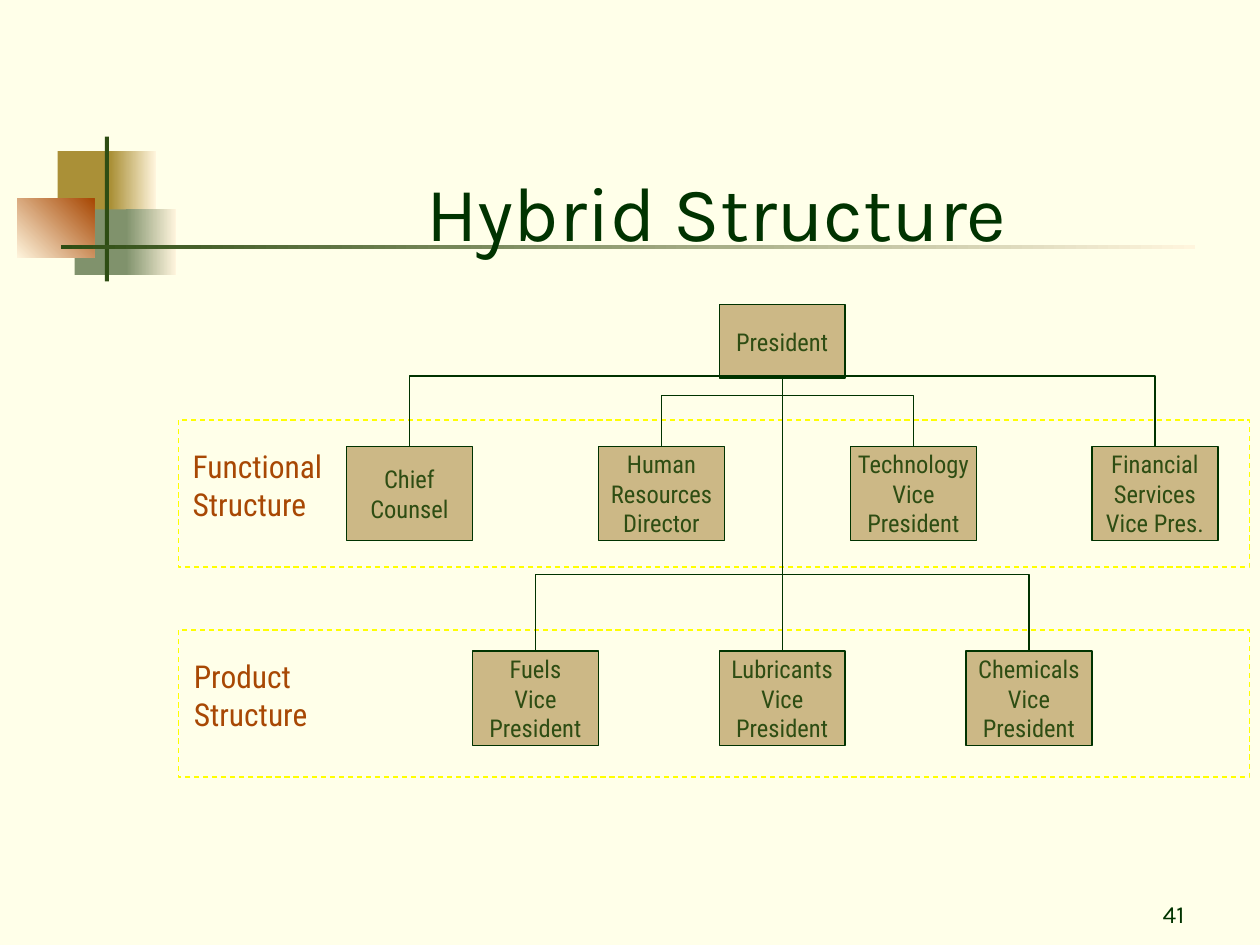
from pptx import Presentation
from pptx.dml.color import RGBColor
from pptx.enum.dml import MSO_LINE
from pptx.enum.shapes import MSO_CONNECTOR, MSO_SHAPE
from pptx.enum.text import MSO_ANCHOR, MSO_AUTO_SIZE, PP_ALIGN
from pptx.oxml.ns import qn
from pptx.util import Pt
from lxml import etree

CREAM = RGBColor(0xFF, 0xFF, 0xE9)
PALE = RGBColor(0xFF, 0xF5, 0xDD)
GOLD = RGBColor(0xAA, 0x90, 0x37)
SAGE = RGBColor(0x80, 0x92, 0x6C)
RUST = RGBColor(0xA8, 0x48, 0x04)
MOSS = RGBColor(0x2E, 0x4D, 0x13)
DARK_GREEN = RGBColor(0x00, 0x33, 0x00)
TAN = RGBColor(0xCC, 0xB8, 0x86)
YELLOW = RGBColor(0xFF, 0xFF, 0x00)
HEADING_FONT, BODY_FONT = "Karla", "Roboto Condensed"

# Content; every length is in points
TITLE = "Hybrid Structure"
SLIDE_NUMBER = "41"
BOX_WIDTH, BOX_HEIGHT = 72, 54
PRESIDENT = ("President", 411, 174, 42)  # text, left, top, height
ROWS = [
    {"label": "Functional\nStructure", "label_left": 103, "frame_top": 240,
     "positions": [  # text, left, height of the connector's crossbar
         ("Chief\nCounsel", 198, 214.8),
         ("Human\nResources\nDirector", 342, 226.2),
         ("Technology\nVice\nPresident", 486, 226.2),
         ("Financial\nServices\nVice Pres.", 624, 214.8)],
     "box_top": 255},
    {"label": "Product\nStructure", "label_left": 103.7, "frame_top": 360,
     "positions": [
         ("Fuels\nVice\nPresident", 270, 328.5),
         ("Lubricants\nVice\nPresident", 411, None),  # straight below
         ("Chemicals\nVice\nPresident", 552, 328.5)],
     "box_top": 372},
]
FRAME_LEFT, FRAME_WIDTH, FRAME_HEIGHT = 102, 612, 84
ORNAMENT = [  # left, top, width, height, colour, end colour, angle
    (33, 86.4, 34.6, 37.4, GOLD, None, 0),
    (63.2, 86.4, 25.9, 37.4, GOLD, PALE, 0),
    (42.6, 119.7, 33.1, 37.4, SAGE, None, 0),
    (72, 119.7, 28.7, 37.4, SAGE, PALE, 0),
    (9.8, 113.7, 44.2, 33.5, PALE, RUST, 45),
    (59.9, 78, 2.4, 82.8, MOSS, None, 0),
    (34.8, 140.1, 648, 2.4, MOSS, PALE, 0),
]

presentation = Presentation()
presentation.slide_width, presentation.slide_height = Pt(720), Pt(540)
slide = presentation.slides.add_slide(presentation.slide_layouts[5])
slide.background.fill.solid()
slide.background.fill.fore_color.rgb = CREAM
shapes = slide.shapes


def add_rectangle(left, top, width, height, fill=None, line=None):
    shape = shapes.add_shape(MSO_SHAPE.RECTANGLE, Pt(left), Pt(top), Pt(width), Pt(height))
    shape.shadow.inherit = False
    if fill is None:
        shape.fill.background()
    else:
        shape.fill.solid()
        shape.fill.fore_color.rgb = fill
    if line is None:
        shape.line.fill.background()
    else:
        shape.line.color.rgb = line
        shape.line.width = Pt(0.75)
    return shape


def write(shape, text, font, size, color, align, anchor, wrap=False):
    frame = shape.text_frame
    frame.text = text
    frame.word_wrap = wrap
    frame.auto_size = MSO_AUTO_SIZE.NONE
    frame.vertical_anchor = anchor
    for paragraph in frame.paragraphs:
        paragraph.alignment = align
        paragraph.font.name = font
        paragraph.font.size = Pt(size)
        paragraph.font.color.rgb = color


def add_text(left, top, width, height, *style):
    box = shapes.add_textbox(Pt(left), Pt(top), Pt(width), Pt(height))
    write(box, *style)


def add_position(text, left, top, height=BOX_HEIGHT):
    box = add_rectangle(left, top, BOX_WIDTH, height, TAN, DARK_GREEN)
    write(box, text, BODY_FONT, 14, MOSS, PP_ALIGN.CENTER, MSO_ANCHOR.MIDDLE)
    return box


def connect(parent, child, crossbar):
    """Join parent's bottom to child's top, turning at the crossbar if there is one."""
    kind = MSO_CONNECTOR.STRAIGHT if crossbar is None else MSO_CONNECTOR.ELBOW
    connector = shapes.add_connector(kind, 0, 0, 0, 0)
    connector.begin_connect(parent, 2)
    connector.end_connect(child, 0)
    connector.line.color.rgb = DARK_GREEN
    connector.line.width = Pt(0.75)
    properties = connector._element.spPr
    etree.SubElement(properties, qn("a:effectLst"))
    if crossbar is None:
        return
    # An elbow that starts downward is a sideways elbow turned by a quarter
    start_x, end_x = connector.begin_x, connector.end_x
    start_y, end_y = connector.begin_y, connector.end_y
    across, down = abs(end_x - start_x), end_y - start_y
    transform = properties.find(qn("a:xfrm"))
    for name in ("flipH", "flipV"):
        transform.attrib.pop(name, None)
    if end_x < start_x:
        transform.set("rot", "5400000")
    else:
        transform.set("rot", "16200000")
        transform.set("flipH", "1")
    connector.left = (start_x + end_x - down) // 2
    connector.top = (start_y + end_y - across) // 2
    connector.width, connector.height = down, across
    adjustments = properties.find(qn("a:prstGeom")).find(qn("a:avLst"))
    turn = round((Pt(crossbar) - start_y) / down * 100000)
    etree.SubElement(adjustments, qn("a:gd"), name="adj1", fmla=f"val {turn}")


# Corner ornament and rule
for left, top, width, height, color, end_color, angle in ORNAMENT:
    piece = add_rectangle(left, top, width, height, color)
    if end_color is not None:
        piece.fill.gradient()
        piece.fill.gradient_angle = angle
        for stop, stop_color in zip(piece.fill.gradient_stops, (color, end_color)):
            stop.color.rgb = stop_color

# Title, moved above the ornament, and slide number
title = shapes.title
title.left, title.top, title.width, title.height = Pt(103), Pt(60.5), Pt(613.4), Pt(90)
write(title, TITLE, HEADING_FONT, 44, DARK_GREEN, PP_ALIGN.CENTER, MSO_ANCHOR.BOTTOM, True)
tree = title._element.getparent()
tree.remove(title._element)
tree.append(title._element)
add_text(534, 498, 150, 36, SLIDE_NUMBER, HEADING_FONT, 14, DARK_GREEN,
         PP_ALIGN.RIGHT, MSO_ANCHOR.BOTTOM, True)

# Organisation chart
president = add_position(*PRESIDENT)
for row in ROWS:
    frame = add_rectangle(FRAME_LEFT, row["frame_top"], FRAME_WIDTH, FRAME_HEIGHT, line=YELLOW)
    frame.line.dash_style = MSO_LINE.DASH
    add_text(row["label_left"], row["frame_top"] + 12, 102, 50.4, row["label"],
             BODY_FONT, 18, RUST, PP_ALIGN.LEFT, MSO_ANCHOR.TOP)
    for text, left, crossbar in row["positions"]:
        connect(president, add_position(text, left, row["box_top"]), crossbar)

presentation.save("out.pptx")
